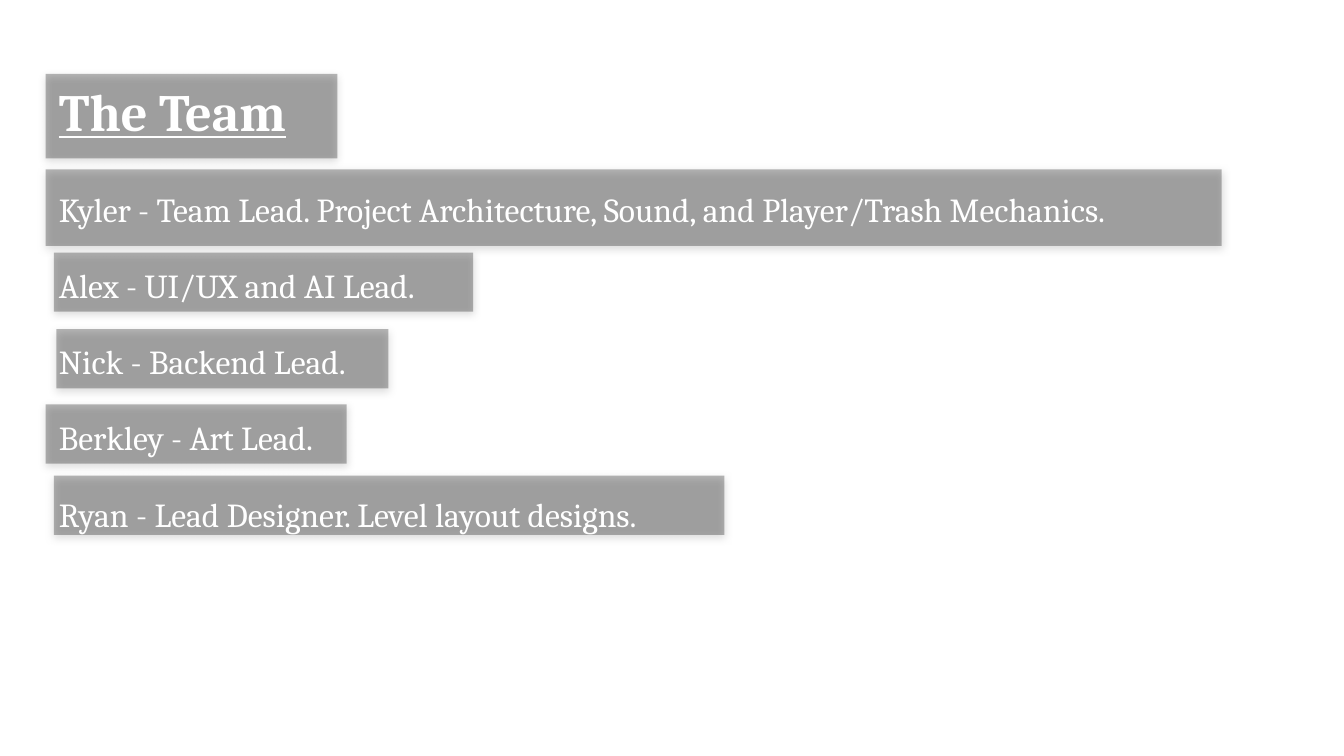
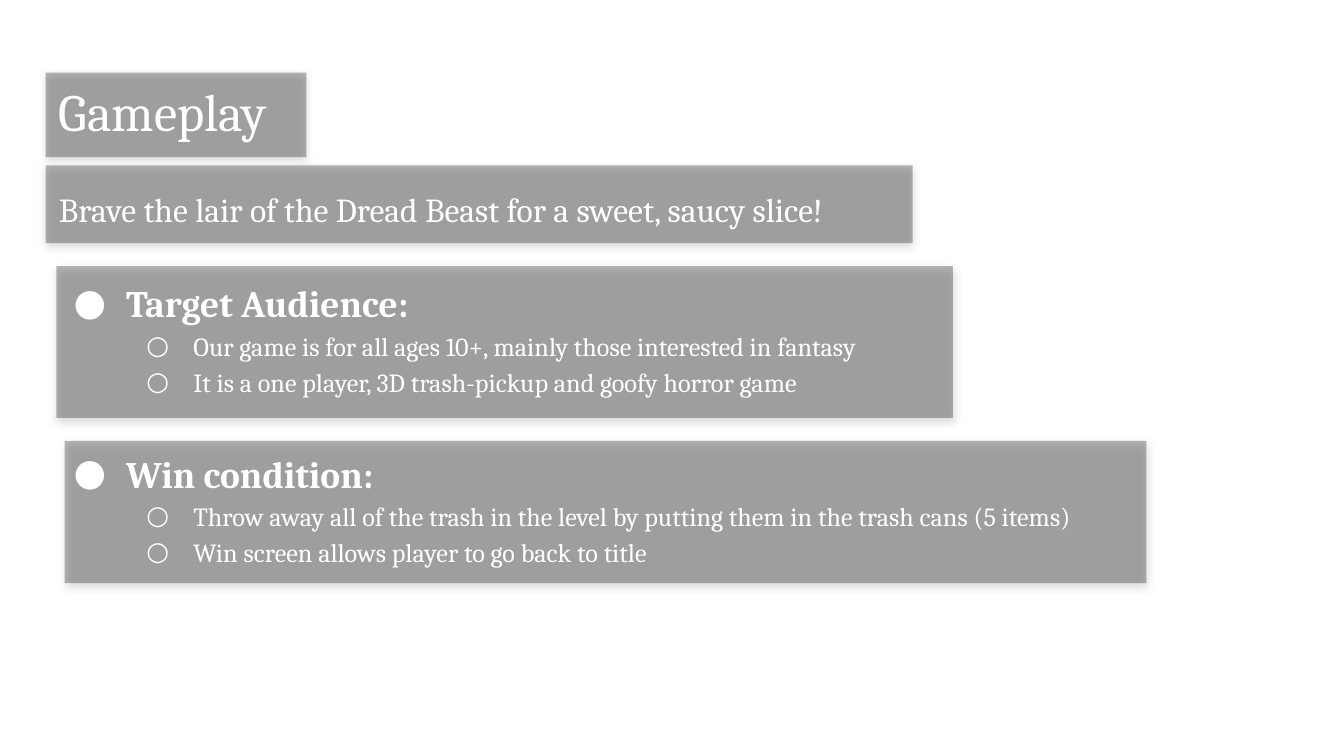
import pptx
import pptx.dml.color
import pptx.enum.shapes
import pptx.oxml
import pptx.oxml.ns
import pptx.util
from lxml import etree

Inches, Pt = pptx.util.Inches, pptx.util.Pt
FONT, WHITE, BLACK = "Cambria", "FFFFFF", "000000"
LEFT, WIDE = 0.34, 9.32
NS = pptx.oxml.ns.nsdecls("a")


def color(code):
    return pptx.dml.color.RGBColor.from_string(code)


def band(slide, left, top, width, height):
    """Add a translucent dark panel with a soft shadow below it."""
    shape = slide.shapes.add_shape(
        pptx.enum.shapes.MSO_SHAPE.RECTANGLE,
        Inches(left), Inches(top), Inches(width), Inches(height))
    shape.line.fill.background()
    shape.fill.solid()
    shape.fill.fore_color.rgb = color(BLACK)
    tint = shape.fill._xPr.find(".//" + pptx.oxml.ns.qn("a:srgbClr"))
    etree.SubElement(tint, pptx.oxml.ns.qn("a:alpha"), val="28000")
    shape.shadow.inherit = False
    glow = pptx.oxml.parse_xml(
        f'<a:outerShdw {NS} blurRad="{Pt(4.5)}" dist="{Pt(1.5)}" '
        f'dir="5400000" algn="bl" rotWithShape="0">'
        f'<a:srgbClr val="{BLACK}"><a:alpha val="50000"/></a:srgbClr>'
        '</a:outerShdw>')
    shape._element.spPr.find(pptx.oxml.ns.qn("a:effectLst")).append(glow)


def frame(slide, top, height):
    """Add a wrapping text box across the slide and return its text frame."""
    box = slide.shapes.add_textbox(
        Inches(LEFT), Inches(top), Inches(WIDE), Inches(height))
    text = box.text_frame
    text.word_wrap = True
    text.margin_left = text.margin_right = Inches(0.1)
    text.margin_top = text.margin_bottom = Inches(0.1)
    return text


def style(para, size, bold=False):
    font = para.font
    font.name, font.size, font.bold = FONT, Pt(size), bold
    font.color.rgb = color(WHITE)


def bullet(para, mark, left, hang):
    props = para._p.get_or_add_pPr()
    props.set("marL", str(Inches(left)))
    props.set("indent", str(-Inches(hang)))
    for part in (f'<a:buClr {NS}><a:srgbClr val="{WHITE}"/></a:buClr>',
                 f'<a:buFont {NS} typeface="{FONT}"/>',
                 f'<a:buChar {NS} char="{mark}"/>'):
        props.append(pptx.oxml.parse_xml(part))


def title(slide, words, strong=False):
    para = frame(slide, 0.49, 0.63).paragraphs[0]
    para.text = words
    style(para, 28, strong)
    para.font.underline = strong


def line(text, words, size=18, gap=0, level=None):
    """Add a body line; level 0 is a bold bulleted head, level 1 its item."""
    first = text.paragraphs[0]
    para = text.add_paragraph() if first.runs else first
    para.text = words
    para.line_spacing = 1.15
    if gap:
        para.space_before = Pt(gap)
    if level == 0:
        bullet(para, "●", 0.5, 0.39)
    elif level == 1:
        para.level = 1
        bullet(para, "○", 1, 0.35)
    style(para, size, level == 0)


def team(slide):
    rows = [
        ("Kyler - Team Lead. Project Architecture, Sound, and Player/Trash Mechanics.",
         (LEFT, 1.26, 8.75, 0.57)),
        ("Alex - UI/UX and AI Lead.", (0.4, 1.88, 3.12, 0.44)),
        ("Nick - Backend Lead.", (0.42, 2.45, 2.47, 0.44)),
        ("Berkley - Art Lead.", (LEFT, 3.01, 2.24, 0.44)),
        ("Ryan - Lead Designer. Level layout designs.", (0.4, 3.54, 4.99, 0.44)),
    ]
    for _, place in rows:
        band(slide, *place)
    body = frame(slide, 1.26, 3.74)
    for i, (words, _) in enumerate(rows):
        line(body, words, gap=16 if i else 0)
    band(slide, LEFT, 0.55, 2.17, 0.63)
    title(slide, "The Team", strong=True)


def game(slide):
    band(slide, LEFT, 0.54, 1.94, 0.63)
    title(slide, "Gameplay")
    for place in ((0.48, 3.28, 8.05, 1.06), (0.42, 1.98, 6.67, 1.13),
                  (LEFT, 1.23, 6.45, 0.58)):
        band(slide, *place)
    body = frame(slide, 1.26, 3.74)
    line(body, "Brave the lair of the Dread Beast for a sweet, saucy slice!")
    groups = [
        ("Target Audience:", 24,
         ["Our game is for all ages 10+, mainly those interested in fantasy",
          "It is a one player, 3D trash-pickup and goofy horror game"]),
        ("Win condition:", 25,
         ["Throw away all of the trash in the level by putting them in the trash cans (5 items)",
          "Win screen allows player to go back to title"]),
    ]
    for head, gap, items in groups:
        line(body, head, 20, gap, level=0)
        for item in items:
            line(body, item, 14, level=1)


def main():
    deck = pptx.Presentation()
    deck.slide_width = Inches(10)
    deck.slide_height = deck.slide_width * 9 // 16
    for build in (team, game):
        build(deck.slides.add_slide(deck.slide_layouts[6]))
    deck.save("out.pptx")


if __name__ == "__main__":
    main()
